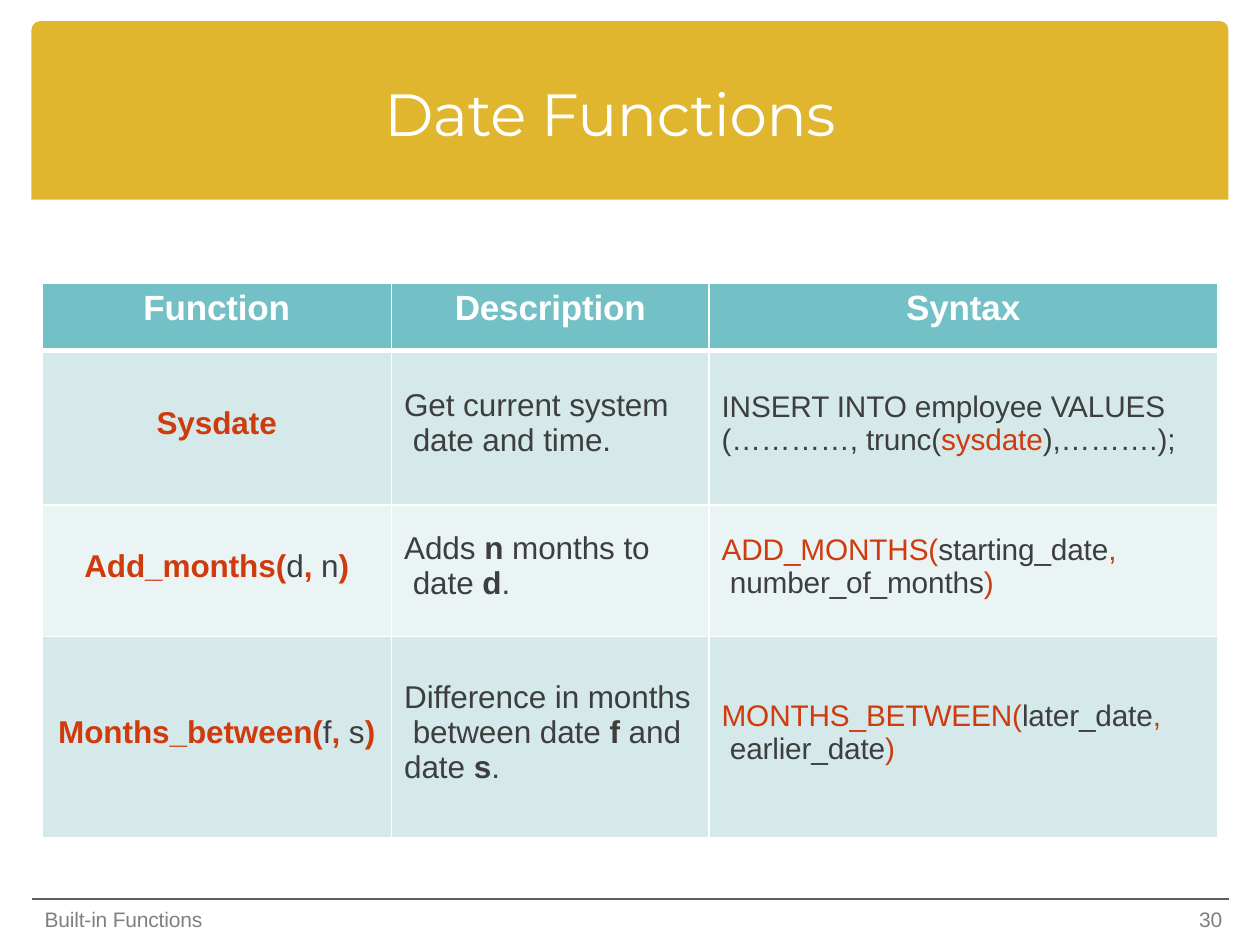
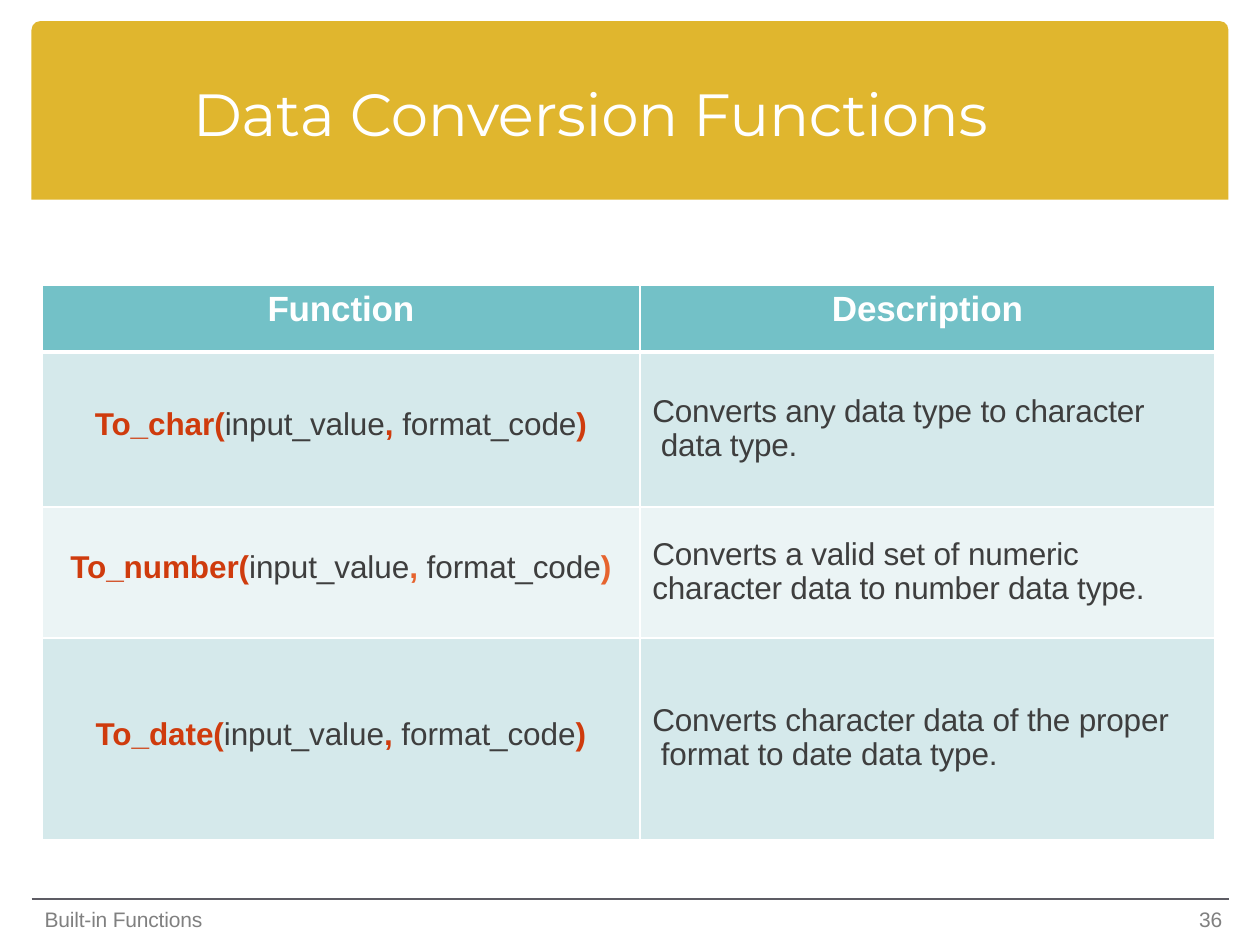
from lxml import etree
from pptx import Presentation
from pptx import util as u
from pptx.dml.color import RGBColor
from pptx.enum import shapes, text
from pptx.oxml import ns

COLS, ROWS = 40, 30
GOLD, RULE, GREY, WHITE = "E0B62E", "5D5C64", "808080", "FFFFFF"
TEAL, BAND_DARK, BAND_LIGHT = "73C1C7", "D5E9EB", "EBF4F5"
INK, RED, ORANGE = "3E3E3E", "CF3B0D", "E6632E"
LEFT, CENTER = text.PP_ALIGN.LEFT, text.PP_ALIGN.CENTER
TOP, MIDDLE = text.MSO_ANCHOR.TOP, text.MSO_ANCHOR.MIDDLE

ROW_SPANS = (2.12, 4.92, 4.16, 6.4)
BAND_BOX = (1, 0.67, 38, 5.67)
RULE_BOX = (1, 28.55, 38, 0)
FOOTER_BOX = (1.38, 28.8, 5.2, 0.84)
NUMBER_BOX = (37.7, 28.8, 1.1, 0.84)

TITLE = dict(size=34, name="Montserrat", color=WHITE, spacing=-0.2)
FOOTER = dict(size=12, name="Arial", color=GREY, spacing=-0.1)
HEADER = dict(size=20, name="Arial", color=WHITE, bold=True, spacing=-0.1)
BODY = dict(size=18, name="Arial", color=INK, bold=False, spacing=-0.05)
SYNTAX = dict(BODY, size=17)


def rgb(value):
    return RGBColor.from_string(value)


def grid(prs, box):
    cw, rh = prs.slide_width / COLS, prs.slide_height / ROWS
    return [round(n * unit) for n, unit in zip(box, (cw, rh, cw, rh))]


def set_all(obj, **values):
    for key, value in values.items():
        setattr(obj, key, value)


def add_run(p, words, color, spacing, size, **values):
    for i, line in enumerate(words.split("\v")):
        if i:
            p.add_line_break()
        if line:
            r = p.add_run()
            r.text = line
            set_all(r.font, size=u.Pt(size), **values)
            r.font.color.rgb = rgb(color)
            r.font._element.set("spc", str(round(spacing * 100)))


def add_text(prs, s, box, words, style, **para):
    tf = s.shapes.add_textbox(*grid(prs, box)).text_frame
    set_all(tf, word_wrap=True, margin_left=u.Inches(0.01), margin_right=0,
            margin_top=0, margin_bottom=0)
    p = tf.paragraphs[0]
    set_all(p, **para)
    add_run(p, words, **style)


def add_frame(prs, s, title, title_box, number):
    sp = s.shapes.add_shape(shapes.MSO_SHAPE.ROUND_2_SAME_RECTANGLE, *grid(prs, BAND_BOX))
    sp.shadow.inherit = False
    sp.adjustments[0] = 0.05
    sp.fill.solid()
    sp.fill.fore_color.rgb = rgb(GOLD)
    sp.line.fill.background()

    x, y, w, h = grid(prs, RULE_BOX)
    line = s.shapes.add_connector(shapes.MSO_CONNECTOR.STRAIGHT, x, y, x + w, y + h)
    line.line.color.rgb = rgb(RULE)
    line.line.width = u.Pt(1)
    etree.SubElement(line._element.spPr, ns.qn("a:effectLst"))

    add_text(prs, s, title_box, title, TITLE, space_before=u.Pt(1))
    add_text(prs, s, FOOTER_BOX, "Built-in Functions", FOOTER, line_spacing=u.Pt(14.2))
    add_text(prs, s, NUMBER_BOX, number, FOOTER, line_spacing=u.Pt(14.2),
             alignment=text.PP_ALIGN.RIGHT)


def add_borders(cell, **widths):
    tc_pr = cell._tc.get_or_add_tcPr()
    for side in "LRTB":
        ln = etree.SubElement(tc_pr, ns.qn("a:ln" + side), w=str(u.Pt(widths.get(side, 1))))
        fill = etree.SubElement(ln, ns.qn("a:solidFill"))
        etree.SubElement(fill, ns.qn("a:srgbClr"), val=WHITE)


def fill_cell(cell, runs, style, fill, layout, para):
    cell.fill.solid()
    cell.fill.fore_color.rgb = rgb(fill)
    set_all(cell, **{"margin_left": 0, "margin_right": 0, "margin_top": 0,
                     "margin_bottom": 0, **layout})
    p = cell.text_frame.paragraphs[0]
    set_all(p, **para)
    for words, change in runs:
        add_run(p, words, **{**style, **change})


def add_function_table(prs, s, left, top, spans, headers, rows, columns):
    box = (left, top, sum(spans), sum(ROW_SPANS))
    table = s.shapes.add_table(len(ROW_SPANS), len(spans), *grid(prs, box)).table
    set_all(table, first_row=False, horz_banding=False)
    for col, span in zip(table.columns, spans):
        col.width = grid(prs, (span, 0, 0, 0))[0]
    for row, span in zip(table.rows, ROW_SPANS):
        row.height = grid(prs, (0, span, 0, 0))[1]

    for c, header in enumerate(headers):
        cell = table.cell(0, c)
        add_borders(cell, B=3)
        fill_cell(cell, plain(header), HEADER, TEAL,
                  dict(vertical_anchor=TOP, margin_top=u.Inches(0.04)),
                  dict(alignment=CENTER, space_before=u.Pt(3)))
    for r, row in enumerate(rows, 1):
        for c, (runs, (style, layout, para)) in enumerate(zip(row, columns)):
            cell = table.cell(r, c)
            add_borders(cell, T=3 if r == 1 else 1)
            fill_cell(cell, runs, style, BAND_DARK if r % 2 else BAND_LIGHT, layout, para)


def plain(words):
    return [(words, {})]


def emphasis(*parts):
    return [(words, {"bold": i % 2 == 1}) for i, words in enumerate(parts)]


def call(name, first, second, bold=True, comma=", ", mark=RED):
    tint = {"color": mark, "bold": bold}
    return [(name + "(", {"color": RED, "bold": bold}), (first, {}),
            (comma, tint), (second, {}), (")", tint)]


LIFTED = dict(vertical_anchor=MIDDLE, margin_bottom=u.Inches(0.07))
INDENTED = dict(LIFTED, margin_left=u.Inches(0.1))
LEVEL = dict(INDENTED, margin_bottom=0)
NAME_COLUMN = (BODY, LIFTED, dict(alignment=CENTER))
TEXT_COLUMN = (BODY, INDENTED, dict(alignment=LEFT))
TIGHT_COLUMN = (dict(BODY, spacing=-0.1), LEVEL,
                dict(alignment=LEFT, line_spacing=u.Pt(19.4)))
SYNTAX_COLUMN = (dict(SYNTAX, spacing=-0.1), INDENTED, dict(alignment=LEFT))

DATE_ROWS = [
    [[("Sysdate", {"color": RED, "bold": True})],
     plain("Get current system\v date and time."),
     [("INSERT INTO employee VALUES\v(…………, trunc(", {}),
      ("sysdate", {"color": RED}), ("),……….);", {})]],
    [call("Add_months", "d", "n"),
     emphasis("Adds ", "n ", "months to\v date ", "d", "."),
     call("ADD_MONTHS", "starting_date", "number_of_months", False, ",\v ")],
    [call("Months_between", "f", "s"),
     emphasis("Difference in months\v between date ", "f ", "and\vdate ", "s", "."),
     call("MONTHS_BETWEEN", "later_date", "earlier_date", False, ",\v ")],
]
CONVERSION_ROWS = [
    [call(name, "input_value", "format_code", mark=mark), plain(words)]
    for name, mark, words in (
        ("To_char", RED, "Converts any data type to character\v data type."),
        ("To_number", ORANGE,
         "Converts a valid set of numeric\vcharacter data to number data type."),
        ("To_date", RED, "Converts character data of the proper\v format to date data type."),
    )
]


def main():
    prs = Presentation()
    set_all(prs, slide_width=u.Inches(10), slide_height=u.Inches(7.5))
    blank = prs.slide_layouts[6]

    s = prs.slides.add_slide(blank)
    add_frame(prs, s, "Date Functions", (12.16, 2.44, 15.7, 2.36), "30")
    add_function_table(prs, s, 1.33, 9, (11.1, 10.08, 16.14),
                       ("Function", "Description", "Syntax"), DATE_ROWS,
                       (NAME_COLUMN, TEXT_COLUMN, SYNTAX_COLUMN))

    s = prs.slides.add_slide(blank)
    add_frame(prs, s, "Data Conversion Functions", (6.08, 2.44, 27.8, 2.36), "36")
    add_function_table(prs, s, 1.33, 9.05, (18.98, 18.26),
                       ("Function", "Description"), CONVERSION_ROWS,
                       (NAME_COLUMN, TIGHT_COLUMN))

    prs.save("out.pptx")


if __name__ == "__main__":
    main()
